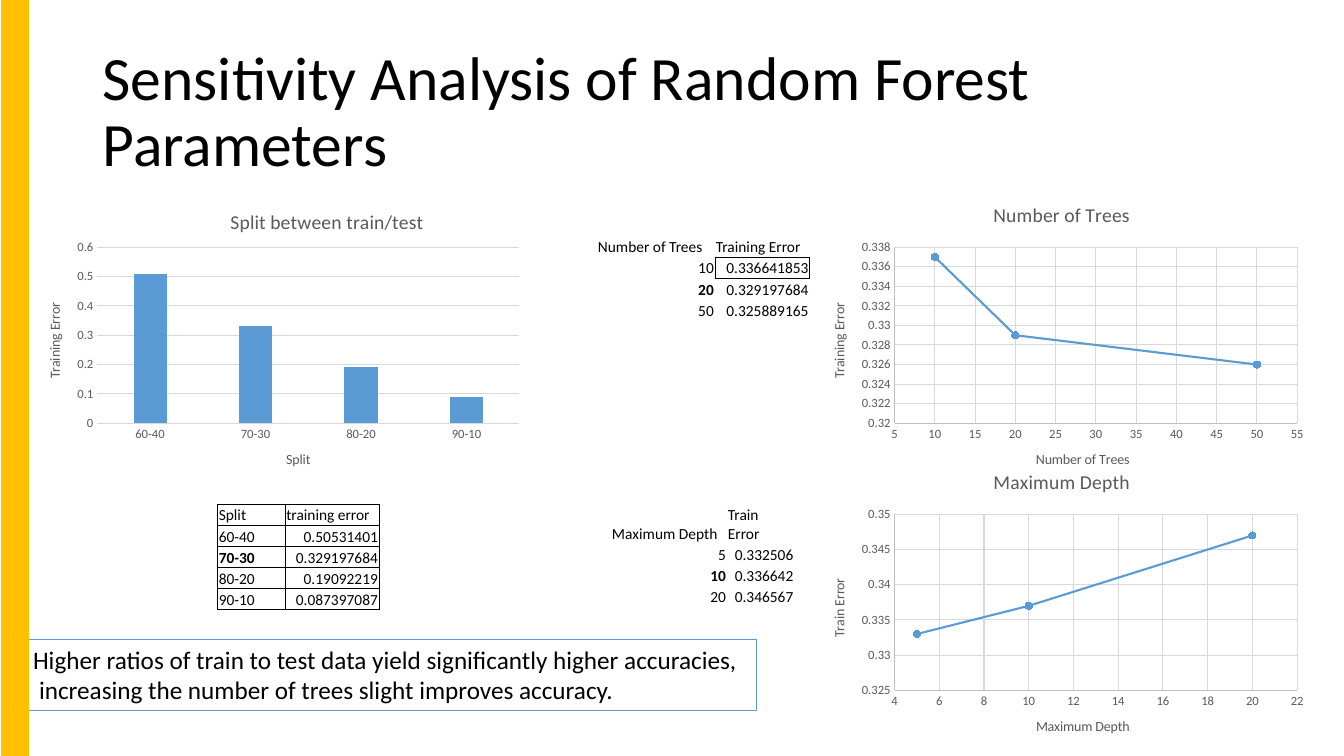
from lxml import etree
from pptx import Presentation
from pptx import util as u
from pptx.chart import data as chart_data
from pptx.dml.color import RGBColor
from pptx.enum import chart as ch
from pptx.enum import shapes, text
from pptx.oxml.ns import qn

BLACK = RGBColor(0x00, 0x00, 0x00)
BLUE = RGBColor(0x5B, 0x9B, 0xD5)
GOLD = RGBColor(0xFF, 0xC0, 0x00)
GREY = RGBColor(0x59, 0x59, 0x59)
GRID = RGBColor(0xD9, 0xD9, 0xD9)
AXIS = RGBColor(0xBF, 0xBF, 0xBF)
FONT = "Calibri"
NO_STYLE = "{2D5ABB26-0587-4C30-8999-92F81FD0307C}"


def set_font(font, size, color=BLACK, bold=False):
    font.name = FONT
    font.size = u.Pt(size)
    font.bold = bold
    font.color.rgb = color


def add_border(cell):
    properties = cell._tc.get_or_add_tcPr()
    for side in ("a:lnL", "a:lnR", "a:lnT", "a:lnB"):
        line = etree.SubElement(properties, qn(side), w=str(u.Pt(0.5)))
        fill = etree.SubElement(line, qn("a:solidFill"))
        etree.SubElement(fill, qn("a:srgbClr"), val=str(BLACK))


deck = Presentation()
deck.slide_width = u.Inches(13.33)
deck.slide_height = u.Inches(7.5)
page = deck.slides.add_slide(deck.slide_layouts[6])

title = page.shapes.add_textbox(u.Inches(0.92), u.Inches(0.4), u.Inches(11.5), u.Inches(1.45))
title.text_frame.word_wrap = True
title.text_frame.vertical_anchor = text.MSO_ANCHOR.MIDDLE
title.text_frame.text = "Sensitivity Analysis of Random Forest Parameters"
title.text_frame.paragraphs[0].line_spacing = 0.9
set_font(title.text_frame.paragraphs[0].runs[0].font, 44)

split_rows = [("Split", "training error"), ("60-40", "0.50531401"), ("70-30", "0.329197684"),
              ("80-20", "0.19092219"), ("90-10", "0.087397087")]
tree_rows = [("Number of Trees", "Training Error"), ("10", "0.336641853"),
             ("20", "0.329197684"), ("50", "0.325889165")]
depth_rows = [("Maximum Depth", "Train Error"), ("5", "0.332506"),
              ("10", "0.336642"), ("20", "0.346567")]

split_cells = [(row, column) for row in range(5) for column in range(2)]
tables = [
    (split_rows, 2.16, 5, (0.67, 0.93), 0.21, "70-30", split_cells),
    (tree_rows, 5.92, 2.34, (1.17, 0.94), 0.21, "20", [(1, 1)]),
    (depth_rows, 6.06, 5, (1.15, 0.67), 0.39, "10", []),
]
for rows, left, top, widths, header_height, chosen, bordered in tables:
    height = header_height + 0.21 * (len(rows) - 1)
    frame = page.shapes.add_table(len(rows), 2, u.Inches(left), u.Inches(top),
                                  u.Inches(sum(widths)), u.Inches(height))
    table = frame.table
    table.first_row = False
    table.horz_banding = False
    table._tbl.tblPr.find(qn("a:tableStyleId")).text = NO_STYLE
    for column, width in zip(table.columns, widths):
        column.width = u.Inches(width)
    for r, values in enumerate(rows):
        table.rows[r].height = u.Inches(0.21 if r else header_height)
        for c, value in enumerate(values):
            cell = table.cell(r, c)
            cell.margin_left = cell.margin_right = cell.margin_top = u.Inches(0.01)
            cell.margin_bottom = 0
            cell.vertical_anchor = text.MSO_ANCHOR.BOTTOM
            cell.text_frame.text = value
            para = cell.text_frame.paragraphs[0]
            if r and (c or rows is not split_rows):
                para.alignment = text.PP_ALIGN.RIGHT
            set_font(para.runs[0].font, 11, bold=value == chosen)
            if (r, c) in bordered:
                add_border(cell)
            cell.fill.background()

COLUMN = ch.XL_CHART_TYPE.COLUMN_CLUSTERED
SCATTER = ch.XL_CHART_TYPE.XY_SCATTER_LINES
charts = [
    (COLUMN, split_rows, 0.25, 1.85, "Split between train/test", "Split", "Training Error",
     None, (0, 0.6, 0.1)),
    (SCATTER, tree_rows, 8.03, 1.85, "Number of Trees", "Number of Trees", "Training Error",
     (5, 55, 5), (0.32, 0.338, 0.002)),
    (SCATTER, depth_rows, 8.03, 4.5, "Maximum Depth", "Maximum Depth", "Train Error",
     (4, 22, 2), (0.325, 0.35, 0.005)),
]
for kind, rows, left, top, heading, x_title, y_title, x_scale, y_scale in charts:
    if kind == COLUMN:
        data = chart_data.CategoryChartData()
        data.categories = [name for name, _ in rows[1:]]
        data.add_series(y_title, [round(float(error), 2) for _, error in rows[1:]])
    else:
        data = chart_data.XyChartData()
        points = data.add_series(y_title)
        for x, error in rows[1:]:
            points.add_data_point(int(x), round(float(error), 3))
    chart = page.shapes.add_chart(kind, u.Inches(left), u.Inches(top),
                                  u.Inches(5), u.Inches(3), data).chart
    set_font(chart.font, 10)
    chart.has_legend = False
    chart.has_title = True
    chart.chart_title.text_frame.text = heading
    set_font(chart.chart_title.text_frame.paragraphs[0].runs[0].font, 14, GREY)

    plot = chart.plots[0]
    plot.vary_by_categories = False
    series = plot.series[0]
    if kind == COLUMN:
        plot.gap_width = 219
        plot.overlap = -27
        series.format.fill.solid()
        series.format.fill.fore_color.rgb = BLUE
        layout = chart.chart_title._element.find(qn("c:layout"))
        manual = etree.SubElement(layout, qn("c:manualLayout"))
        for tag, value in (("xMode", "edge"), ("yMode", "edge"), ("x", "0.4"), ("y", "0.06")):
            etree.SubElement(manual, qn("c:" + tag), val=value)
    else:
        series.smooth = False
        series.format.line.color.rgb = BLUE
        series.format.line.width = u.Pt(1.5)
        series.marker.style = ch.XL_MARKER_STYLE.CIRCLE
        series.marker.size = 5
        series.marker.format.fill.solid()
        series.marker.format.fill.fore_color.rgb = BLUE
        series.marker.format.line.color.rgb = BLUE

    for axis, name, scale in ((chart.category_axis, x_title, x_scale),
                              (chart.value_axis, y_title, y_scale)):
        axis.has_title = True
        axis.axis_title.text_frame.text = name
        set_font(axis.axis_title.text_frame.paragraphs[0].runs[0].font, 10, GREY)
        axis.major_tick_mark = axis.minor_tick_mark = ch.XL_TICK_MARK.NONE
        set_font(axis.tick_labels.font, 9, GREY)
        axis.format.line.color.rgb = GRID if kind == COLUMN else AXIS
        axis.format.line.width = u.Pt(0.75)
        axis.has_major_gridlines = scale is not None
        if scale:
            axis.minimum_scale, axis.maximum_scale, axis.major_unit = scale
            axis.tick_labels.number_format = "General"
            axis.tick_labels.number_format_is_linked = False
            axis.major_gridlines.format.line.color.rgb = GRID
            axis.major_gridlines.format.line.width = u.Pt(0.75)
    if kind == COLUMN:
        chart.value_axis.format.line.fill.background()
    body = chart.value_axis.axis_title._element.find(".//" + qn("a:bodyPr"))
    body.set("rot", "-5400000")
    body.set("vert", "horz")

box = page.shapes.add_textbox(u.Inches(0.23), u.Inches(6.34), u.Inches(7.27), u.Inches(0.71))
box.line.color.rgb = BLUE
box.line.width = u.Pt(0.75)
box.text_frame.word_wrap = False
box.text_frame.auto_size = text.MSO_AUTO_SIZE.SHAPE_TO_FIT_TEXT
box.text_frame.text = ("Higher ratios of train to test data yield significantly higher accuracies,\n"
                       "increasing the number of trees slight improves accuracy.")
for para in box.text_frame.paragraphs:
    set_font(para.runs[0].font, 18)
box.text_frame.paragraphs[1]._p.get_or_add_pPr().set("marL", str(u.Inches(0.06)))

stripe = page.shapes.add_connector(shapes.MSO_CONNECTOR.STRAIGHT, u.Inches(0.15), 0,
                                   u.Inches(0.15), u.Inches(7.5))
stripe.line.color.rgb = GOLD
stripe.line.width = u.Pt(20)
etree.SubElement(stripe._element.spPr, qn("a:effectLst"))

deck.save("out.pptx")
